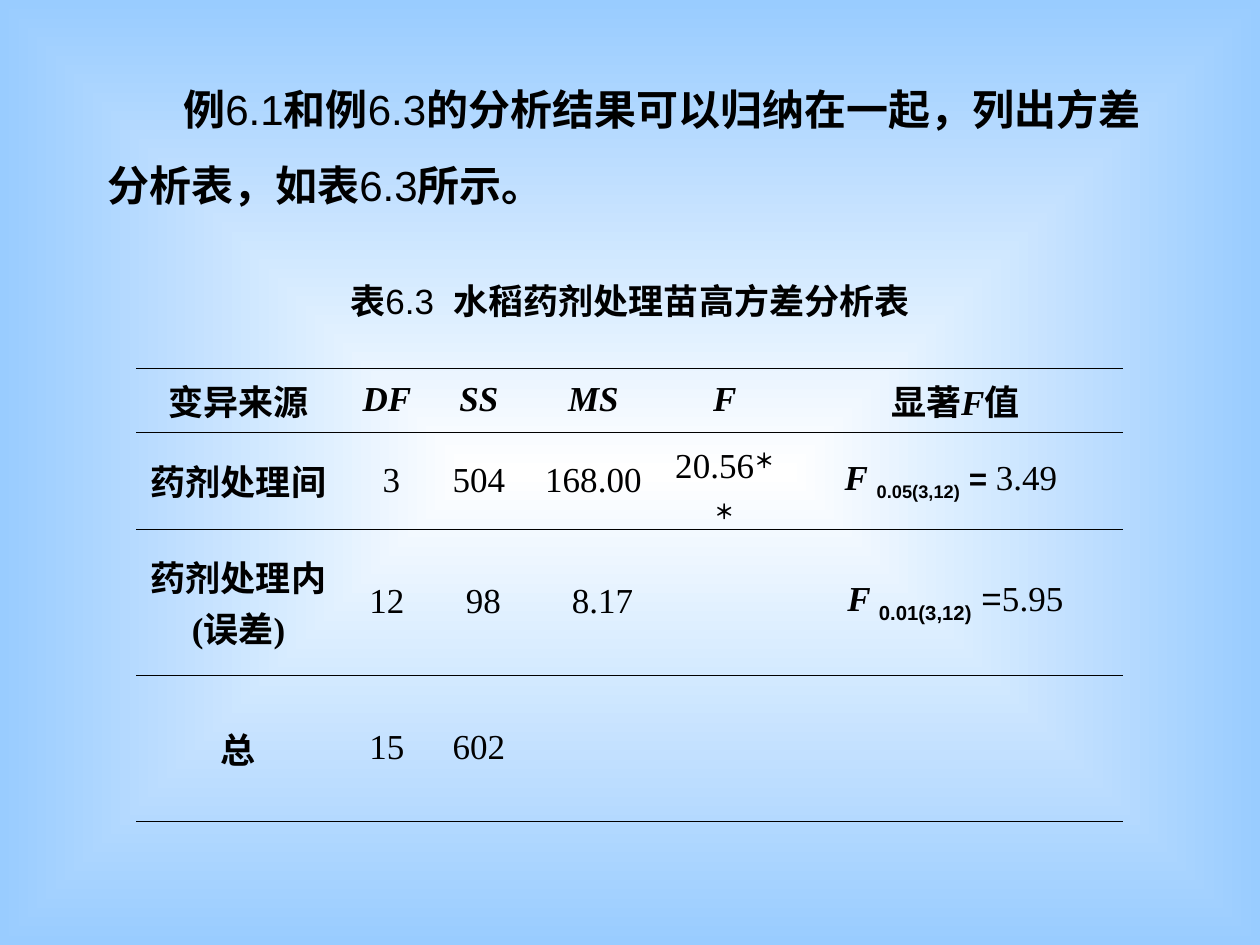
from lxml.etree import SubElement
from pptx import Presentation
from pptx.dml.color import RGBColor
from pptx.enum.text import MSO_ANCHOR, MSO_AUTO_SIZE, PP_ALIGN
from pptx.oxml import parse_xml
from pptx.oxml.ns import qn
from pptx.util import Pt

PX = 914400 // 126
NS = 'xmlns:a="http://schemas.openxmlformats.org/drawingml/2006/main"'
INK, MID, EDGE = "000000", "FFFFFF", "99CCFF"
ARIAL, ROMAN, HAN = "Arial", "Times New Roman", "Noto Sans CJK SC"
PLAIN = "{2D5ABB26-0587-4C30-8999-92F81FD0307C}"

# runs: (text, marks, font, size); marks are b bold, i italic, + raised, - lowered
INTRO = [("例", "b"), ("6.1", ""), ("和例", "b"), ("6.3", ""),
         ("的分析结果可以归纳在一起，列出方差分析表，如表", "b"), ("6.3", ""), ("所示。", "b")]
TITLE = [("表", "b", HAN), ("6.3  ", ""), ("水稻药剂处理苗高方差分析表", "b", HAN)]
ROWS = [
    [[("变异来源", "b")], [("DF", "bi")], [("SS", "bi")], [("MS", "bi")], [("F", "bi")],
     [("显著", "b"), ("F", "bi"), ("值", "b")]],
    [[("药剂处理间", "b")], [("3", "")], [("504", "")], [("168.00", "")],
     [("20.56", ""), ("＊＊", "b+")],
     [("F", "bi"), (" ", "b", ARIAL, 18), ("0.05(3,12)", "b-", ARIAL, 18),
      (" = ", "b", ARIAL, 18), ("3.49 ", "")]],
    [[("药剂处理内(误差)", "b")], [("12", "")], [("98", "")], [("8.17", "")], [],
     [("F ", "bi"), ("0.01(3,12)", "b-", ARIAL), (" =", "", ARIAL), ("5.95", "")]],
    [[("总", "b")], [("15", "")], [("602", "")], [], [], []],
]
WIDE = [205, 92, 92, 137, 126, 335]
HIGH = [64, 97, 146, 146]
SHIFT = {(1, 1): 9, (2, 2): 9, (2, 3): 18}
RULES = {0: ["lnT", "lnB"], 1: ["lnT"], 2: ["lnB"], 3: ["lnT", "lnB"]}


def color(code):
    return RGBColor.from_string(code)


def write(para, runs, name, size):
    for text, marks, *rest in runs:
        face, points = (rest + [name, size][len(rest):])
        run = para.add_run()
        run.text = text
        font = run.font
        font.name, font.size = face, Pt(points)
        font.bold, font.italic = "b" in marks, "i" in marks
        font.color.rgb = color(INK)
        props = run._r.get_or_add_rPr()
        SubElement(props, qn("a:ea")).set("typeface", HAN)
        for mark, base in (("+", "30000"), ("-", "-25000")):
            if mark in marks:
                props.set("baseline", base)


def add_text(slide, box, runs, size):
    frame = slide.shapes.add_textbox(*(n * PX for n in box)).text_frame
    frame.word_wrap = True
    frame.auto_size = MSO_AUTO_SIZE.SHAPE_TO_FIT_TEXT
    frame.vertical_anchor = MSO_ANCHOR.MIDDLE
    para = frame.paragraphs[0]
    write(para, runs, ARIAL, size)
    return para


def paint(slide):
    fill = slide.background.fill
    fill.gradient()
    for stop, place, code in zip(fill.gradient_stops, (0, 1), (MID, EDGE)):
        stop.position = place
        stop.color.rgb = color(code)
    grad = slide.background._cSld.find(".//" + qn("a:gradFill"))
    grad.replace(grad.find(qn("a:lin")), parse_xml(
        f'<a:path {NS} path="rect"><a:fillToRect l="50000" t="50000" r="50000" b="50000"/></a:path>'))


def rule(cell, sides):
    props = cell._tc.get_or_add_tcPr()
    for spot, side in enumerate(sides):
        props.insert(spot, parse_xml(
            f'<a:{side} {NS} w="{Pt(0.45)}"><a:solidFill><a:srgbClr val="{INK}"/></a:solidFill></a:{side}>'))


def add_grid(slide):
    box = (136, 368, sum(WIDE), sum(HIGH))
    table = slide.shapes.add_table(len(HIGH), len(WIDE), *(n * PX for n in box)).table
    table.first_row = table.horz_banding = False
    table._tbl.tblPr.find(qn("a:tableStyleId")).text = PLAIN
    for col, wide in zip(table.columns, WIDE):
        col.width = wide * PX
    for r, (row, high) in enumerate(zip(table.rows, HIGH)):
        row.height = high * PX
        for c, cell in enumerate(row.cells):
            cell.vertical_anchor = MSO_ANCHOR.MIDDLE
            cell.fill.background()
            rule(cell, RULES[r])
            para = cell.text_frame.paragraphs[0]
            para.alignment = PP_ALIGN.CENTER
            if (r, c) in SHIFT:
                para._p.get_or_add_pPr().set("marL", str(SHIFT[r, c] * PX))
            write(para, ROWS[r][c], ROMAN, 20)


def main():
    """Build the variance analysis slide."""
    deck = Presentation()
    deck.slide_width, deck.slide_height = 1260 * PX, 945 * PX
    slide = deck.slides.add_slide(deck.slide_layouts[6])
    paint(slide)
    intro = add_text(slide, (95, 52, 1081, 164), INTRO, 24)
    intro.line_spacing = 1.5
    intro._p.get_or_add_pPr().set("indent", str(76 * PX))
    add_text(slide, (0, 273, 1260, 55), TITLE, 20).alignment = PP_ALIGN.CENTER
    add_grid(slide)
    deck.save("out.pptx")


if __name__ == "__main__":
    main()
